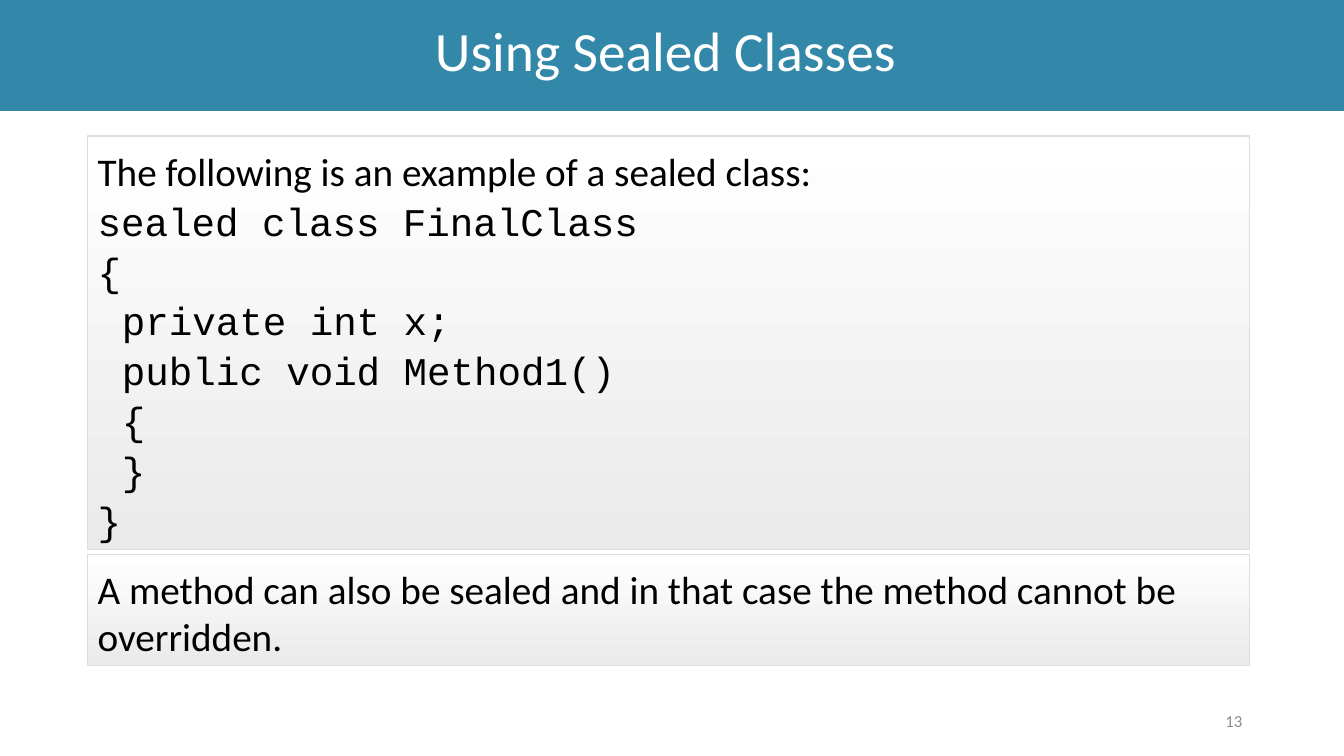
from dataclasses import dataclass

from pptx import Presentation
from pptx.dml.color import RGBColor
from pptx.enum.shapes import MSO_SHAPE as Shape
from pptx.enum.text import MSO_ANCHOR as Anchor, PP_ALIGN as Align
from pptx.util import Inches, Pt


@dataclass(frozen=True)
class Theme:
    band: str = "3388A9"
    title: str = "FFFFFF"
    text: str = "000000"
    number: str = "8C8C8C"
    panel_top: str = "FFFFFF"
    panel_bottom: str = "EAEAEA"
    panel_line: str = "DDDDDD"
    body_font: str = "Calibri"
    code_font: str = "Courier New"
    title_size: float = 39.6
    body_size: float = 28
    number_size: float = 12


theme = Theme()


def add_run(paragraph, text, size, color, font=theme.body_font):
    run = paragraph.add_run()
    run.text = text
    run.font.name = font
    run.font.size = Pt(size)
    run.font.color.rgb = RGBColor.from_string(color)


def add_panel(slide, top, height):
    panel = slide.shapes.add_shape(
        Shape.RECTANGLE, Inches(0.87), Inches(top), Inches(11.52), Inches(height))
    panel.shadow.inherit = False
    panel.fill.gradient()
    panel.fill.gradient_angle = 270
    for stop, color in zip(panel.fill.gradient_stops, (theme.panel_top, theme.panel_bottom)):
        stop.color.rgb = RGBColor.from_string(color)
    panel.line.color.rgb = RGBColor.from_string(theme.panel_line)
    panel.line.width = Pt(1)
    frame = panel.text_frame
    frame.word_wrap = True
    frame.vertical_anchor = Anchor.MIDDLE
    frame.margin_top = Inches(0.1)
    frame.paragraphs[0].alignment = Align.LEFT
    return frame


presentation = Presentation()
presentation.slide_width = Inches(13.33)
presentation.slide_height = Inches(7.5)
slide = presentation.slides.add_slide(presentation.slide_layouts[5])

# Title band
title = slide.shapes.title
title.left, title.top = Inches(0), Inches(0)
title.width, title.height = Inches(13.33), Inches(1.1)
title.fill.solid()
title.fill.fore_color.rgb = RGBColor.from_string(theme.band)
title.text_frame.vertical_anchor = Anchor.MIDDLE
title.text_frame.margin_right = Inches(0.23)
title.text_frame.margin_bottom = Inches(0.08)
heading = title.text_frame.paragraphs[0]
heading.alignment = Align.CENTER
heading.line_spacing = 0.9
add_run(heading, "Using Sealed Classes", theme.title_size, theme.title)

# Slide number
number_box = slide.shapes.add_textbox(Inches(9.42), Inches(6.95), Inches(3), Inches(0.4))
number_box.text_frame.word_wrap = True
number_box.text_frame.vertical_anchor = Anchor.MIDDLE
number = number_box.text_frame.paragraphs[0]
number.alignment = Align.RIGHT
add_run(number, "13", theme.number_size, theme.number)

# Code example: indent depth and text of each line
code_lines = [
    (0, "sealed class FinalClass"),
    (0, "{"),
    (1, "private int x;"),
    (1, "public void Method1()"),
    (1, "{"),
    (1, "}"),
    (0, "}"),
]
example = add_panel(slide, 1.35, 4.1)
add_run(example.paragraphs[0], "The following is an example of a sealed class:",
        theme.body_size, theme.text)
for depth, code in code_lines:
    paragraph = example.add_paragraph()
    paragraph.alignment = Align.LEFT
    paragraph.line_spacing = 1.06
    paragraph._p.get_or_add_pPr().set("marL", str(Inches(0.24 * depth)))
    add_run(paragraph, code, theme.body_size, theme.text, theme.code_font)

# Remark on sealed methods
remark = add_panel(slide, 5.5, 1.1)
add_run(remark.paragraphs[0],
        "A method can also be sealed and in that case the method cannot be overridden.",
        theme.body_size, theme.text)

presentation.save("out.pptx")
